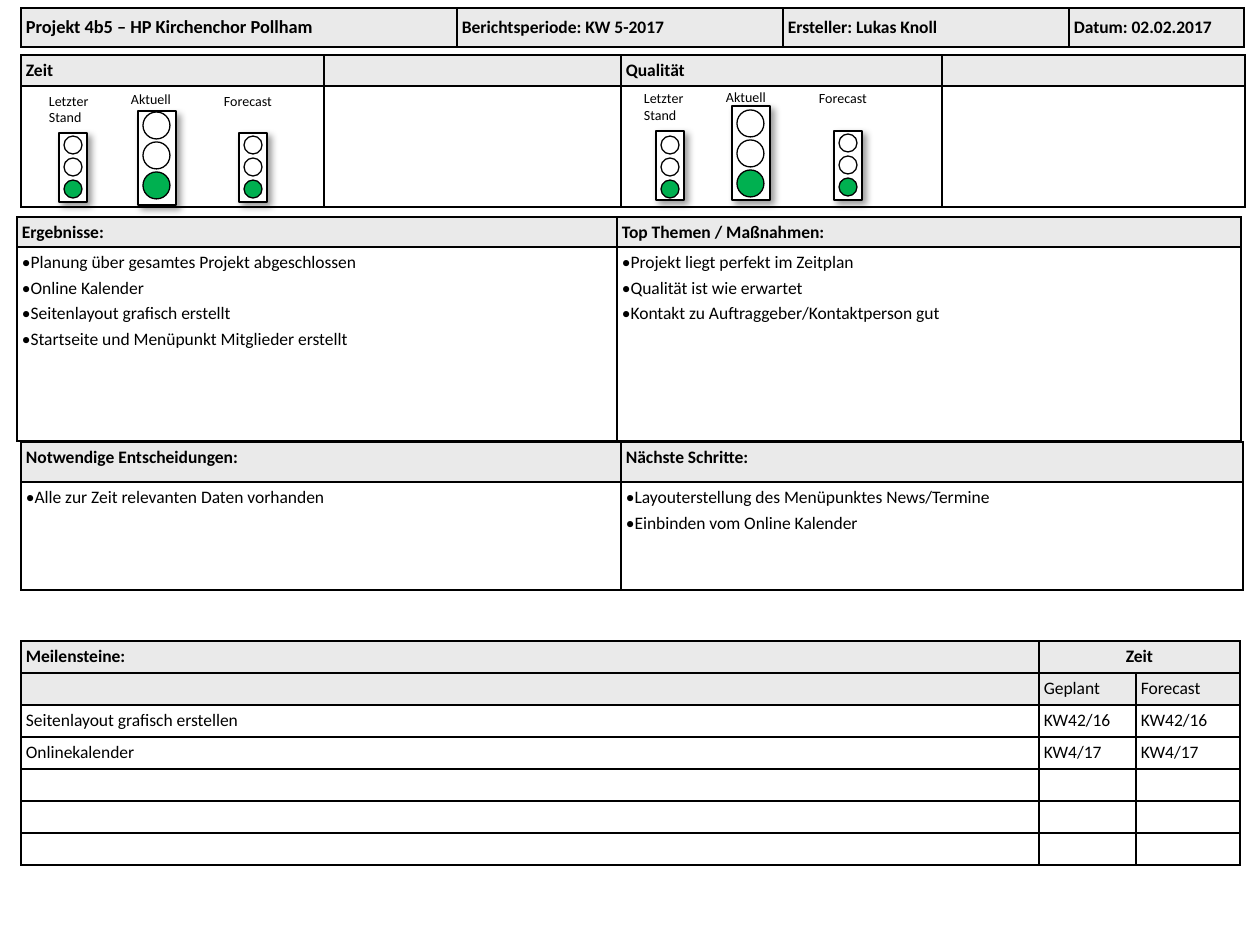
from lxml import etree
from pptx import Presentation
from pptx import util as u
from pptx.dml.color import RGBColor
from pptx.enum import shapes, text
from pptx.oxml import ns

SCALE = 914400 // 126
INSET = 5
FONT = "Calibri"
COLORS = {"ink": "000000", "paper": "FFFFFF", "head": "EAEAEA", "go": "00B050"}


def px(n):
    """Turn pixels into EMU."""
    return u.Emu(n * SCALE)


def rgb(name):
    """Look up a named colour."""
    return RGBColor.from_string(COLORS[name])


def sub(node, tag, **attrs):
    """Append a drawing element with attributes."""
    child = etree.SubElement(node, ns.qn(tag))
    for key, val in attrs.items():
        child.set(key, str(val))
    return child


def write(frame, words, size=10, bold=False, align=None, line=None, after=0):
    """Fill a text frame; lines that start with a bullet become list items."""
    for i, row in enumerate(words.split("\n")):
        para = frame.paragraphs[0] if i == 0 else frame.add_paragraph()
        para.space_after = u.Pt(after)
        if align is not None:
            para.alignment = align
        if line:
            para.line_spacing = line
        if row.startswith("•"):
            props = para._p.get_or_add_pPr()
            sub(props, "a:buFont", typeface=FONT)
            sub(props, "a:buChar", char="•")
            row = row[1:]
        if not row:
            para._p.get_or_add_endParaRPr().set("sz", str(size * 100))
            continue
        run = para.add_run()
        run.text = row
        font = run.font
        font.name, font.size, font.bold = FONT, u.Pt(size), bold
        font.color.rgb = rgb("ink")


def frame_cell(cell):
    """Draw a thin border on all four sides of a cell."""
    props = cell._tc.get_or_add_tcPr()
    for i, side in enumerate(("a:lnL", "a:lnR", "a:lnT", "a:lnB")):
        edge = etree.Element(ns.qn(side), w=str(u.Pt(1)))
        sub(sub(edge, "a:solidFill"), "a:srgbClr", val=COLORS["ink"])
        props.insert(i, edge)


def add_grid(slide, x, y, cols, rows, cells, shaded=1, middle=False):
    """Add a bordered table whose first row is bold and first rows shaded."""
    grid = slide.shapes.add_table(len(rows), len(cols), px(x), px(y),
                                  px(sum(cols)), px(sum(rows))).table
    grid.horz_banding = grid.first_row = False
    for col, wide in zip(grid.columns, cols):
        col.width = px(wide)
    for r, high in enumerate(rows):
        grid.rows[r].height = px(high)
        for c in range(len(cols)):
            cell = grid.cell(r, c)
            cell.margin_left = cell.margin_right = px(INSET)
            cell.margin_top = cell.margin_bottom = px(INSET)
            if middle:
                cell.vertical_anchor = text.MSO_ANCHOR.MIDDLE
            if r < shaded:
                cell.fill.solid()
                cell.fill.fore_color.rgb = rgb("head")
            else:
                cell.fill.background()
            frame_cell(cell)
            words = cells[r][c] if r < len(cells) else ""
            fmt = {"bold": True, "line": 0.95} if r == 0 else {}
            if r >= shaded:
                fmt["after"] = 2.5
            if middle and c == 0:
                fmt["size"] = 10.5
            if words.startswith("^"):
                words, fmt["align"] = words[1:], text.PP_ALIGN.CENTER
            write(cell.text_frame, words, **fmt)
    return grid


def add_form(slide, kind, x, y, w, h, fill=None):
    """Add an outlined shape, filled or clear."""
    form = slide.shapes.add_shape(kind, px(x), px(y), px(w), px(h))
    form.shadow.inherit = False
    if fill:
        form.fill.solid()
        form.fill.fore_color.rgb = rgb(fill)
    else:
        form.fill.background()
    form.line.color.rgb = rgb("ink")
    form.line.width = u.Pt(0.75)
    return form


def add_light(slide, x, y, top, big=False):
    """Add a traffic light with its green lamp lit."""
    wide, high, lamp, pitch = (38, 94, 27, 30) if big else (28, 69, 18, 22)
    box = add_form(slide, shapes.MSO_SHAPE.RECTANGLE, x, y, wide, high, "paper")
    glow = sub(box._element.spPr.find(ns.qn("a:effectLst")), "a:outerShdw",
               blurRad=u.Pt(4), dist=u.Pt(3), dir=45 * 60000, rotWithShape=0)
    sub(sub(glow, "a:srgbClr", val=COLORS["ink"]), "a:alpha", val=40000)
    for i, fill in enumerate((None, None, "go")):
        add_form(slide, shapes.MSO_SHAPE.OVAL, x + (wide - lamp) // 2,
                 y + top + i * pitch, lamp, lamp, fill)


def add_label(slide, x, y, w, words):
    """Add a small caption without margins."""
    frame = slide.shapes.add_textbox(px(x), px(y), px(w), px(17)).text_frame
    frame.margin_left = frame.margin_right = 0
    frame.margin_top = frame.margin_bottom = 0
    frame.word_wrap = False
    write(frame, words, size=8)


def main():
    """Build the status report."""
    deck = Presentation()
    deck.slide_width, deck.slide_height = u.Inches(10), u.Inches(7.5)
    slide = deck.slides.add_slide(deck.slide_layouts[6])

    add_grid(slide, 21, 8, [436, 326, 286, 175], [39], [
        ["Projekt 4b5 – HP Kirchenchor Pollham", "Berichtsperiode: KW 5-2017",
         "Ersteller: Lukas Knoll", "Datum: 02.02.2017"]], middle=True)
    add_grid(slide, 21, 55, [303, 297, 321, 303], [31, 121],
             [["Zeit", "", "Qualität", ""]])
    add_grid(slide, 21, 442, [600, 622], [40, 108], [
        ["Notwendige Entscheidungen:", "Nächste Schritte:"],
        ["•Alle zur Zeit relevanten Daten vorhanden",
         "•Layouterstellung des Menüpunktes News/Termine\n"
         "•Einbinden vom Online Kalender"]])
    goals = add_grid(slide, 21, 641, [1018, 97, 104], [32] * 7, [
        ["Meilensteine:", "^Zeit", ""],
        ["", "Geplant", "Forecast"],
        ["Seitenlayout grafisch erstellen", "KW42/16", "KW42/16"],
        ["Onlinekalender", "KW4/17", "KW4/17"]], shaded=2)
    goals.cell(0, 1).merge(goals.cell(0, 2))
    add_grid(slide, 17, 217, [600, 624], [30, 194], [
        ["Ergebnisse:", "Top Themen / Maßnahmen:"],
        ["•Planung über gesamtes Projekt abgeschlossen\n•Online Kalender\n"
         "•Seitenlayout grafisch erstellt\n"
         "•Startseite und Menüpunkt Mitglieder erstellt",
         "•Projekt liegt perfekt im Zeitplan\n•Qualität ist wie erwartet\n"
         "•Kontakt zu Auftraggeber/Kontaktperson gut"]])

    for x, y, words in ((49, 92, "Letzter\nStand"), (131, 91, "Aktuell"),
                        (224, 92, "Forecast")):
        add_label(slide, x, y, 50, words)
        add_label(slide, x + 595, y - 2, 50, words)
    for x, y, top, big in ((59, 133, 3, False), (138, 111, 1, True),
                           (239, 133, 3, False), (656, 131, 5, False),
                           (732, 106, 4, True), (834, 131, 3, False)):
        add_light(slide, x, y, top, big)

    deck.save("out.pptx")


main()
